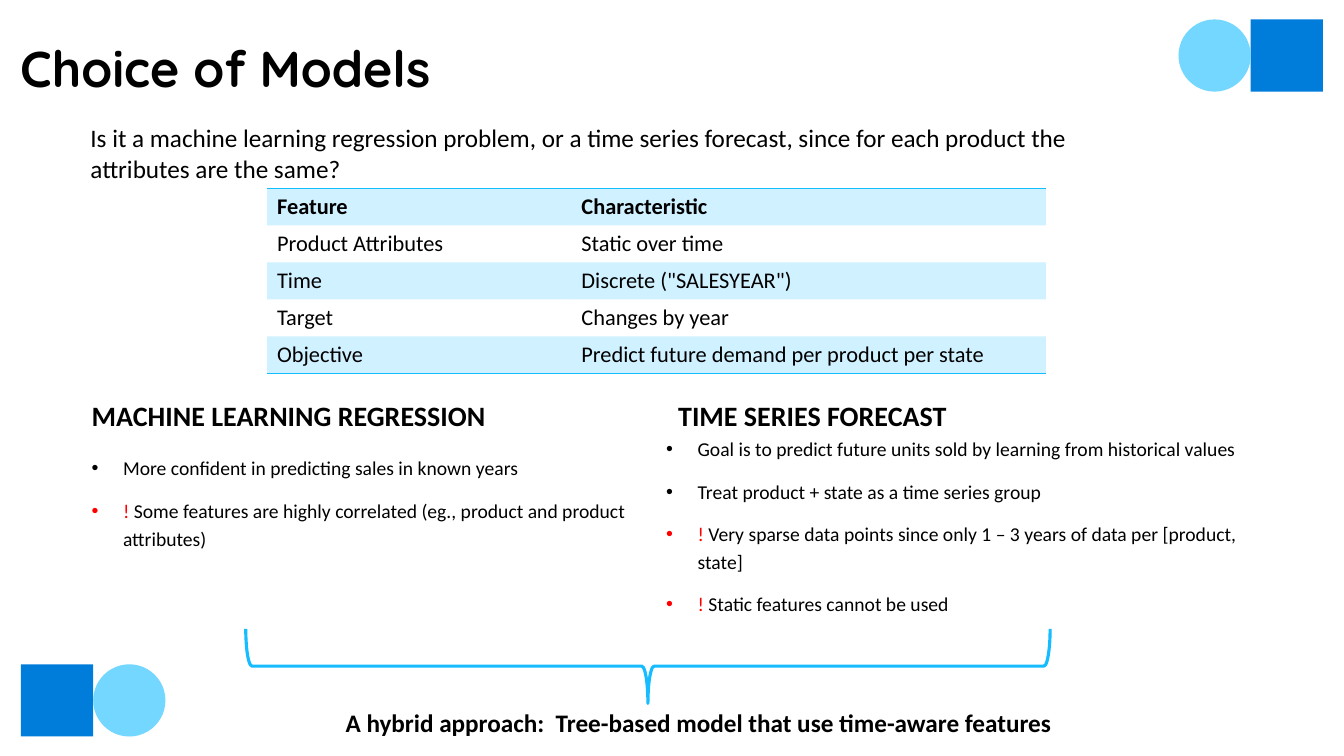
import pptx
import pptx.util
import pptx.dml.color
import pptx.enum.shapes
import pptx.enum.text
import pptx.oxml.ns
import lxml.etree
from dataclasses import dataclass

Cm = pptx.util.Cm
Pt = pptx.util.Pt
Shape = pptx.enum.shapes.MSO_SHAPE
Anchor = pptx.enum.text.MSO_ANCHOR
qn = pptx.oxml.ns.qn

TITLE = "Choice of Models"
QUESTION = ("Is it a machine learning regression problem, or a time series forecast, "
            "since for each product the attributes are the same?")
TRAITS = [
    ("Feature", "Characteristic"),
    ("Product Attributes", "Static over time"),
    ("Time", 'Discrete ("SALESYEAR")'),
    ("Target", "Changes by year"),
    ("Objective", "Predict future demand per product per state"),
]
# A line that starts with "!" is a drawback; its mark is red.
MODELS = [
    {
        "head": "MACHINE LEARNING REGRESSION",
        "head_box": (2.31, 10.39, 14.33, 0.51),
        "list_box": (2.31, 11.38, 14.48, 3.91),
        "points": [
            "More confident in predicting sales in known years",
            "! Some features are highly correlated (eg., product and product attributes)",
        ],
    },
    {
        "head": "TIME SERIES FORECAST",
        "head_box": (17.09, 10.39, 14.4, 0.51),
        "list_box": (16.79, 10.9, 14.4, 3.91),
        "points": [
            "Goal is to predict future units sold by learning from historical values",
            "Treat product + state as a time series group",
            "! Very sparse data points since only\u00a01 – 3 years of data per [product, state]",
            "! Static features cannot be used",
        ],
    },
]
ANSWER = "A hybrid approach:  Tree-based model that use time-aware features"


@dataclass(frozen=True)
class Theme:
    text: str = "000000"
    alert: str = "FF0000"
    sky: str = "73D7FF"
    blue: str = "007DDA"
    accent: str = "15BCFF"
    tint: int = 20
    title_font: str = "Quicksand"
    font: str = "Calibri"
    title: int = 36
    head: int = 20
    lead: int = 18
    cell: int = 16
    point: int = 14


THEME = Theme()
WIDTH, HEIGHT = 33.87, 19.05
SIDE, EDGE_X, EDGE_Y = 1.82, 0.53, 0.49
ROW = 0.93
INDENT = 0.79


def rgb(code):
    return pptx.dml.color.RGBColor.from_string(code)


def place(shape, box):
    shape.left, shape.top, shape.width, shape.height = map(Cm, box)


def add_bullet(para):
    props = para._p.get_or_add_pPr()
    props.set("marL", str(Cm(INDENT)))
    props.set("indent", str(-Cm(INDENT)))
    lxml.etree.SubElement(props, qn("a:buFont"), typeface="Arial")
    lxml.etree.SubElement(props, qn("a:buChar"), char="•")


def write(frame, *lines, size, font=THEME.font, bold=False, anchor=Anchor.TOP,
          inset=None, space=None, before=None, bullet=False):
    """Fill a text frame with one paragraph a line."""
    frame.word_wrap = True
    frame.vertical_anchor = anchor
    if inset is not None:
        frame.margin_left = frame.margin_right = Cm(inset)
        frame.margin_top = frame.margin_bottom = Cm(inset)
    for i, line in enumerate(lines):
        para = frame.add_paragraph() if i else frame.paragraphs[0]
        para.alignment = pptx.enum.text.PP_ALIGN.LEFT
        if space:
            para.line_spacing = space
        if before is not None:
            para.space_before = Pt(before)
        if bullet:
            add_bullet(para)
        mark, rest = (line[:2], line[2:]) if line.startswith("!") else ("", line)
        for part, color in ((mark, THEME.alert), (rest, THEME.text)):
            if part:
                run = para.add_run()
                run.text = part
                run.font.name, run.font.size, run.font.bold = font, Pt(size), bold
                run.font.color.rgb = rgb(color)


def fill_holder(holder, box, *lines, **style):
    place(holder, box)
    holder.text_frame.auto_size = pptx.enum.text.MSO_AUTO_SIZE.NONE
    write(holder.text_frame, *lines, inset=0, **style)


def add_note(slide, box, line, **style):
    write(slide.shapes.add_textbox(*map(Cm, box)).text_frame, line, **style)


def add_corners(slide):
    """Put a square and a circle in the lower left and upper right corners."""
    low, right = HEIGHT - EDGE_Y - SIDE, WIDTH - EDGE_X - SIDE
    for square, circle, top in ((EDGE_X, EDGE_X + SIDE, low),
                                (right, right - SIDE, EDGE_Y)):
        for kind, left, color in ((Shape.RECTANGLE, square, THEME.blue),
                                  (Shape.OVAL, circle, THEME.sky)):
            shape = slide.shapes.add_shape(kind, *map(Cm, (left, top, SIDE, SIDE)))
            shape.shadow.inherit = False
            shape.fill.solid()
            shape.fill.fore_color.rgb = rgb(color)
            shape.line.fill.background()


def add_border(cell, tag):
    line = lxml.etree.Element(qn(tag), w=str(Pt(1)))
    fill = lxml.etree.SubElement(line, qn("a:solidFill"))
    lxml.etree.SubElement(fill, qn("a:srgbClr"), val=THEME.accent)
    cell._tc.get_or_add_tcPr().insert(0, line)


def add_traits(slide):
    cols = (7.67, 11.96)
    box = (6.73, 4.75, sum(cols), ROW * len(TRAITS))
    table = slide.shapes.add_table(len(TRAITS), len(cols), *map(Cm, box)).table
    table.first_row = table.horz_banding = False
    plain = "{2D5ABB26-0587-4C30-8999-92F81FD0307C}"
    table._tbl.tblPr.find(qn("a:tableStyleId")).text = plain
    for col, width in zip(table.columns, cols):
        col.width = Cm(width)
    for i, row in enumerate(TRAITS):
        table.rows[i].height = Cm(ROW)
        for j, text in enumerate(row):
            cell = table.cell(i, j)
            write(cell.text_frame, text, size=THEME.cell, bold=i == 0)
            cell.vertical_anchor = Anchor.MIDDLE
            if i % 2:
                cell.fill.background()
            else:
                cell.fill.solid()
                cell.fill.fore_color.rgb = rgb(THEME.accent)
                color = cell._tc.tcPr.find(".//" + qn("a:srgbClr"))
                lxml.etree.SubElement(color, qn("a:alpha"), val=str(THEME.tint * 1000))
            if i == 0:
                add_border(cell, "a:lnT")
            if i == len(TRAITS) - 1:
                add_border(cell, "a:lnB")


def add_brace(slide):
    brace = slide.shapes.add_shape(Shape.LEFT_BRACE, *map(Cm, (15.39, 6.65, 1.88, 20.27)))
    brace.rotation = 270
    brace.shadow.inherit = False
    brace.fill.background()
    brace.line.color.rgb = rgb(THEME.accent)
    brace.line.width = Pt(2.25)


def main():
    deck = pptx.Presentation()
    deck.slide_width, deck.slide_height = Cm(WIDTH), Cm(HEIGHT)
    slide = deck.slides.add_slide(deck.slide_layouts.get_by_name("Comparison"))
    holders = slide.placeholders
    add_corners(slide)
    fill_holder(slide.shapes.title, (0.51, -0.71, 29.06, 3.18), TITLE, size=THEME.title,
                font=THEME.title_font, bold=True, anchor=Anchor.BOTTOM)
    for i, model in enumerate(MODELS):
        fill_holder(holders[2 * i + 1], model["head_box"], model["head"], size=THEME.head,
                    bold=True, anchor=Anchor.BOTTOM, space=0.9, before=10)
        fill_holder(holders[2 * i + 2], model["list_box"], *model["points"],
                    size=THEME.point, space=1.2, before=10, bullet=True)
    add_note(slide, (2.03, 2.97, 26.57, 1.8), QUESTION, size=THEME.lead)
    add_traits(slide)
    add_brace(slide)
    add_note(slide, (8.46, 17.7, 21.26, 1.02), ANSWER, size=THEME.lead, bold=True)
    deck.save("out.pptx")


if __name__ == "__main__":
    main()
